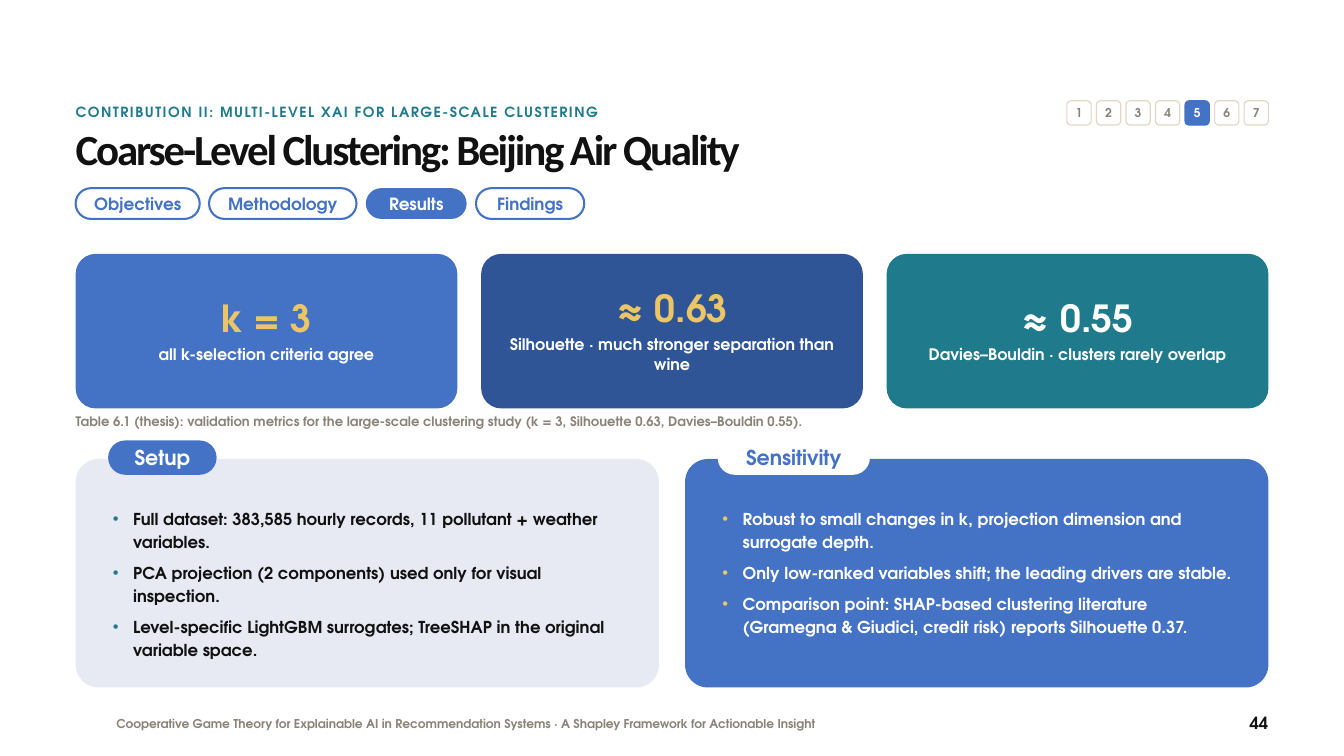
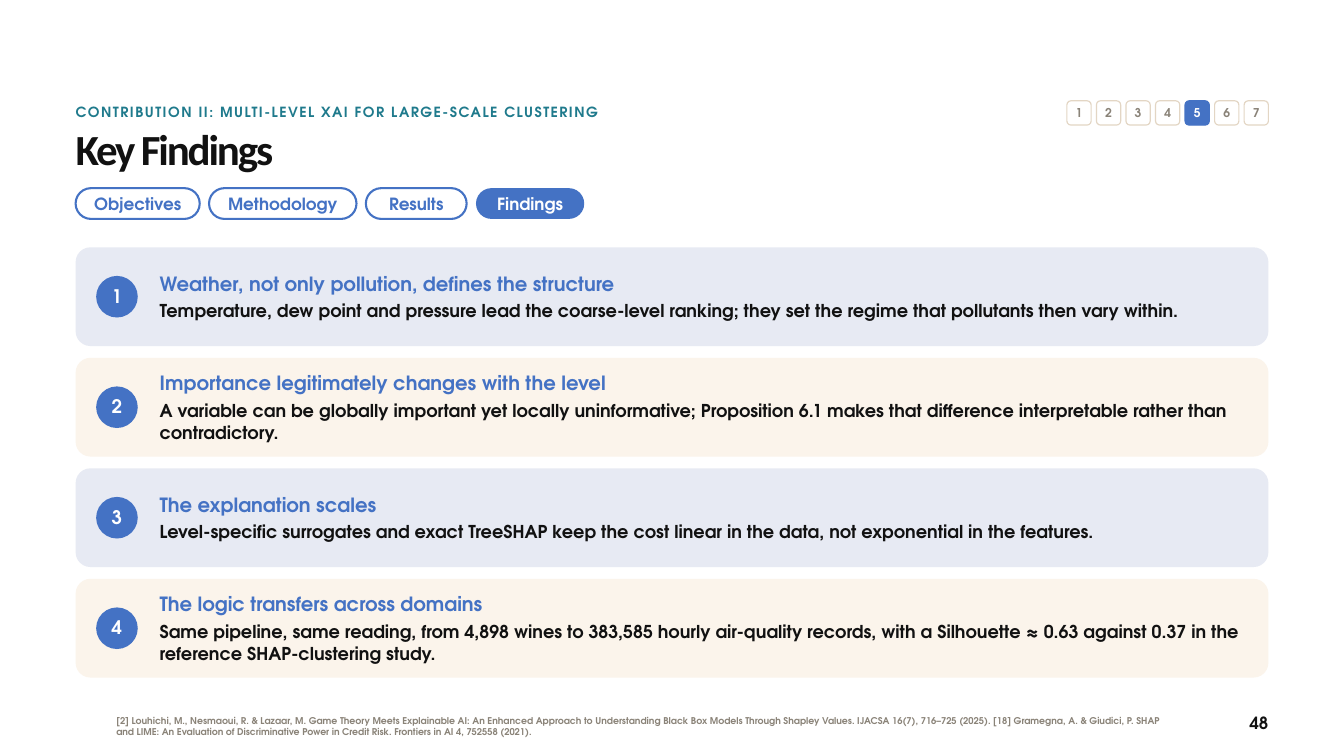
from dataclasses import dataclass, field
from typing import Optional, Sequence

import lxml.etree
import pptx
import pptx.dml.color
import pptx.enum.shapes
import pptx.enum.text
import pptx.oxml.ns
import pptx.util

Pt = pptx.util.Pt
Align = pptx.enum.text.PP_ALIGN
Anchor = pptx.enum.text.MSO_ANCHOR
Preset = pptx.enum.shapes.MSO_SHAPE


@dataclass(frozen=True)
class TextStyle:
    size: float
    color: str
    leading: float
    font: str = "TeX Gyre Adventor"
    tracking: float = 0

    def tinted(self, color: str) -> "TextStyle":
        return TextStyle(self.size, color, self.leading, self.font, self.tracking)


@dataclass(frozen=True)
class Theme:
    white: str = "FFFFFF"
    ink: str = "111111"
    gray: str = "8A8378"
    blue: str = "4472C4"
    navy: str = "2F5597"
    teal: str = "1F7A8C"
    gold: str = "ECC665"
    sand: str = "E3D6C4"
    mist: str = "E7EAF3"
    cream: str = "FBF4EB"
    title: TextStyle = TextStyle(46, ink, 50.6, "Calibri", -2.3)
    kicker: TextStyle = TextStyle(15, teal, 20, tracking=1.6)
    step: TextStyle = TextStyle(13, gray, 15)
    tab: TextStyle = TextStyle(18, blue, 21.6)
    footer: TextStyle = TextStyle(13, gray, 16)
    reference: TextStyle = TextStyle(10, gray, 12)
    page_number: TextStyle = TextStyle(18, ink, 22)
    metric: TextStyle = TextStyle(40, gold, 44)
    metric_label: TextStyle = TextStyle(17, white, 21.2)
    caption: TextStyle = TextStyle(14, gray, 18)
    panel_title: TextStyle = TextStyle(22, white, 26.4)
    bullet: TextStyle = TextStyle(17.6, ink, 24.6)
    badge: TextStyle = TextStyle(20, white, 22)
    finding_title: TextStyle = TextStyle(21, blue, 25)
    finding_body: TextStyle = TextStyle(19, ink, 24)


THEME = Theme()
LEFT, WIDTH = 81, 1278
RIGHT = LEFT + WIDTH
TABS = {"Objectives": 133, "Methodology": 158, "Results": 108, "Findings": 116}


@dataclass(frozen=True)
class Area:
    left: float
    top: float
    width: float
    height: float

    def lengths(self) -> list:
        return [Pt(value) for value in (self.left, self.top, self.width, self.height)]


@dataclass(frozen=True)
class Setting:
    """How text sits in its box."""
    align: Align = Align.LEFT
    anchor: Anchor = Anchor.TOP
    side: float = 0
    edge: float = 0
    gap: float = 0


CENTERED = Setting(Align.CENTER, Anchor.MIDDLE)
PILL_TEXT = Setting(Align.CENTER, Anchor.MIDDLE, side=3.6)


@dataclass(frozen=True)
class Metric:
    value: str
    label: str
    fill: str
    value_color: str = THEME.gold


@dataclass(frozen=True)
class Panel:
    title: str
    pill_width: float
    fill: str
    pill_fill: str
    pill_color: str
    text_color: str
    bullet_color: str
    points: Sequence[str] = field(default_factory=tuple)


@dataclass(frozen=True)
class Finding:
    title: str
    body: str


def rgb(color: str) -> pptx.dml.color.RGBColor:
    return pptx.dml.color.RGBColor.from_string(color)


def write(box, lines: Sequence[tuple[str, TextStyle]], setting: Setting = Setting()) -> None:
    frame = box.text_frame
    frame.text = "\n".join(text for text, _ in lines)
    frame.word_wrap = True
    frame.auto_size = pptx.enum.text.MSO_AUTO_SIZE.NONE
    frame.vertical_anchor = setting.anchor
    frame.margin_left = frame.margin_right = Pt(setting.side)
    frame.margin_top = frame.margin_bottom = Pt(setting.edge)
    for index, (para, (_, style)) in enumerate(zip(frame.paragraphs, lines)):
        para.alignment = setting.align
        para.line_spacing = Pt(style.leading)
        para.space_before = Pt(setting.gap if index else 0)
        for span in para.runs:
            span.font.name = style.font
            span.font.size = Pt(style.size)
            span.font.bold = True
            span.font.color.rgb = rgb(style.color)
            if style.tracking:
                span._r.get_or_add_rPr().set("spc", str(round(style.tracking * 100)))


def add_text(page, area: Area, text: str, style: TextStyle, setting: Setting = Setting()) -> None:
    write(page.shapes.add_textbox(*area.lengths()), [(text, style)], setting)


def add_block(page, area: Area, fill: Optional[str], corner: Optional[float] = 0.5,
              line: Optional[str] = None, weight: float = 2.25):
    """Add a rounded block, or an ellipse when corner is None."""
    preset = Preset.OVAL if corner is None else Preset.ROUNDED_RECTANGLE
    block = page.shapes.add_shape(preset, *area.lengths())
    block.shadow.inherit = False
    if corner is not None:
        block.adjustments[0] = corner
    if fill:
        block.fill.solid()
        block.fill.fore_color.rgb = rgb(fill)
    else:
        block.fill.background()
    if line:
        block.line.color.rgb = rgb(line)
        block.line.width = Pt(weight)
    else:
        block.line.fill.background()
    return block


def place(holder, area: Area) -> None:
    """Move a placeholder to an area, in front of everything drawn so far."""
    holder.left, holder.top, holder.width, holder.height = area.lengths()
    holder.element.getparent().append(holder.element)


def add_bullets(box, color: str) -> None:
    for para in box.text_frame.paragraphs:
        properties = para._p.get_or_add_pPr()
        properties.set("marL", str(Pt(21.6)))
        properties.set("indent", str(-Pt(21.6)))
        tint = lxml.etree.SubElement(properties, pptx.oxml.ns.qn("a:buClr"))
        lxml.etree.SubElement(tint, pptx.oxml.ns.qn("a:srgbClr"), val=color)
        lxml.etree.SubElement(properties, pptx.oxml.ns.qn("a:buChar"), char="•")


def add_steps(page, current: int = 5, count: int = 7) -> None:
    size, pitch = 26, 31.65
    for number in range(1, count + 1):
        active = number == current
        left = RIGHT - size - (count - number) * pitch
        block = add_block(page, Area(left, 108, size, size), THEME.blue if active else THEME.white,
                          0.167, THEME.blue if active else THEME.sand, 1.25)
        style = THEME.step.tinted(THEME.white) if active else THEME.step
        write(block, [(str(number), style)], CENTERED)


def add_tabs(page, current: str) -> None:
    left = LEFT
    for name, width in TABS.items():
        active = name == current
        tab = add_block(page, Area(left, 201.6, width, 33), THEME.blue if active else None,
                        line=None if active else THEME.blue)
        style = THEME.tab.tinted(THEME.white) if active else THEME.tab
        write(tab, [(name, style)], PILL_TEXT)
        left += width + 10


def add_page(deck, layout: int, title: str, tab: str, number: int):
    page = deck.slides.add_slide(deck.slide_layouts[layout])
    page.background.fill.solid()
    page.background.fill.fore_color.rgb = rgb(THEME.white)
    add_text(page, Area(RIGHT - 86, 763, 86, 26), str(number), THEME.page_number,
             Setting(Align.RIGHT))
    add_text(page, Area(LEFT, 109.4, 1019, 26),
             "CONTRIBUTION II: MULTI-LEVEL XAI FOR LARGE-SCALE CLUSTERING", THEME.kicker)
    add_steps(page)
    place(page.shapes.title, Area(LEFT, 135.4, WIDTH, 57.6))
    write(page.shapes.title, [(title, THEME.title)])
    add_tabs(page, tab)
    return page


def add_metrics(page, metrics: Sequence[Metric]) -> None:
    gap = 25.5
    width = (WIDTH - gap * (len(metrics) - 1)) / len(metrics)
    for index, metric in enumerate(metrics):
        card = add_block(page, Area(LEFT + index * (width + gap), 272, width, 165.6),
                         metric.fill, 0.13)
        write(card, [(metric.value, THEME.metric.tinted(metric.value_color)),
                     (metric.label, THEME.metric_label)],
              Setting(Align.CENTER, Anchor.MIDDLE, side=10.8, edge=7.2, gap=4))


def add_panel(page, left: float, panel: Panel, body) -> None:
    add_block(page, Area(left, 491.8, 625, 244.8), panel.fill, 0.1)
    pill = add_block(page, Area(left + 36, 473, panel.pill_width, 34.6), panel.pill_fill,
                     line=panel.pill_fill)
    write(pill, [(panel.title, THEME.panel_title.tinted(panel.pill_color))], PILL_TEXT)
    place(body, Area(left + 40, 542, 548.6, 172.8))
    style = THEME.bullet.tinted(panel.text_color)
    body.text_frame.text = "\n".join(panel.points)
    write(body, [(point, style) for point in panel.points], Setting(gap=8.8))
    add_bullets(body, panel.bullet_color)


def add_findings(page, findings: Sequence[Finding]) -> None:
    height, pitch, badge = 105.8, 118.4, 44.6
    for index, finding in enumerate(findings):
        top = 265 + index * pitch
        add_block(page, Area(LEFT, top, WIDTH, height), (THEME.mist, THEME.cream)[index % 2], 0.15)
        disc = add_block(page, Area(LEFT + 22, top + (height - badge) / 2, badge, badge),
                         THEME.blue, None)
        write(disc, [(str(index + 1), THEME.badge)], CENTERED)
        box = page.shapes.add_textbox(*Area(LEFT + 90, top + 8.6, 1163, height - 17.2).lengths())
        write(box, [(finding.title, THEME.finding_title), (finding.body, THEME.finding_body)],
              Setting(anchor=Anchor.MIDDLE, gap=4))


METRICS = (
    Metric("k = 3", "all k-selection criteria agree", THEME.blue),
    Metric("≈ 0.63", "Silhouette · much stronger separation than wine", THEME.navy),
    Metric("≈ 0.55", "Davies–Bouldin · clusters rarely overlap", THEME.teal, THEME.white),
)
PANELS = (
    Panel("Setup", 114, THEME.mist, THEME.blue, THEME.white, THEME.ink, THEME.teal, (
        "Full dataset: 383,585 hourly records, 11 pollutant + weather variables.",
        "PCA projection (2 components) used only for visual inspection.",
        "Level-specific LightGBM surrogates; TreeSHAP in the original variable space.")),
    Panel("Sensitivity", 161, THEME.blue, THEME.white, THEME.blue, THEME.white, THEME.gold, (
        "Robust to small changes in k, projection dimension and surrogate depth.",
        "Only low-ranked variables shift; the leading drivers are stable.",
        "Comparison point: SHAP-based clustering literature (Gramegna & Giudici, credit risk) "
        "reports Silhouette 0.37.")),
)
FINDINGS = (
    Finding("Weather, not only pollution, defines the structure",
            "Temperature, dew point and pressure lead the coarse-level ranking; they set the "
            "regime that pollutants then vary within."),
    Finding("Importance legitimately changes with the level",
            "A variable can be globally important yet locally uninformative; Proposition 6.1 "
            "makes that difference interpretable rather than contradictory."),
    Finding("The explanation scales",
            "Level-specific surrogates and exact TreeSHAP keep the cost linear in the data, "
            "not exponential in the features."),
    Finding("The logic transfers across domains",
            "Same pipeline, same reading, from 4,898 wines to 383,585 hourly air-quality records, "
            "with a Silhouette ≈ 0.63 against 0.37 in the reference SHAP-clustering study."),
)


def main() -> None:
    deck = pptx.Presentation()
    deck.slide_width, deck.slide_height = Pt(1440), Pt(810)

    page = add_page(deck, 3, "Coarse-Level Clustering: Beijing Air Quality", "Results", 44)
    add_text(page, Area(124.6, 767.5, 1008, 21.6),
             "Cooperative Game Theory for Explainable AI in Recommendation Systems · "
             "A Shapley Framework for Actionable Insight", THEME.footer)
    add_metrics(page, METRICS)
    add_text(page, Area(LEFT, 441.4, WIDTH, 32.4),
             "Table 6.1 (thesis): validation metrics for the large-scale clustering study "
             "(k = 3, Silhouette 0.63, Davies–Bouldin 0.55).", THEME.caption)
    for index, panel in enumerate(PANELS):
        add_panel(page, LEFT + index * 653, panel, page.placeholders[index + 1])

    page = add_page(deck, 5, "Key Findings", "Findings", 48)
    add_text(page, Area(124.6, 756, 1132, 44.6),
             "[2] Louhichi, M., Nesmaoui, R. & Lazaar, M. Game Theory Meets Explainable AI: An "
             "Enhanced Approach to Understanding Black Box Models Through Shapley Values. IJACSA "
             "16(7), 716–725 (2025). [18] Gramegna, A. & Giudici, P. SHAP and LIME: An Evaluation "
             "of Discriminative Power in Credit Risk. Frontiers in AI 4, 752558 (2021).",
             THEME.reference, Setting(anchor=Anchor.MIDDLE))
    add_findings(page, FINDINGS)
    deck.save("out.pptx")


if __name__ == "__main__":
    main()
